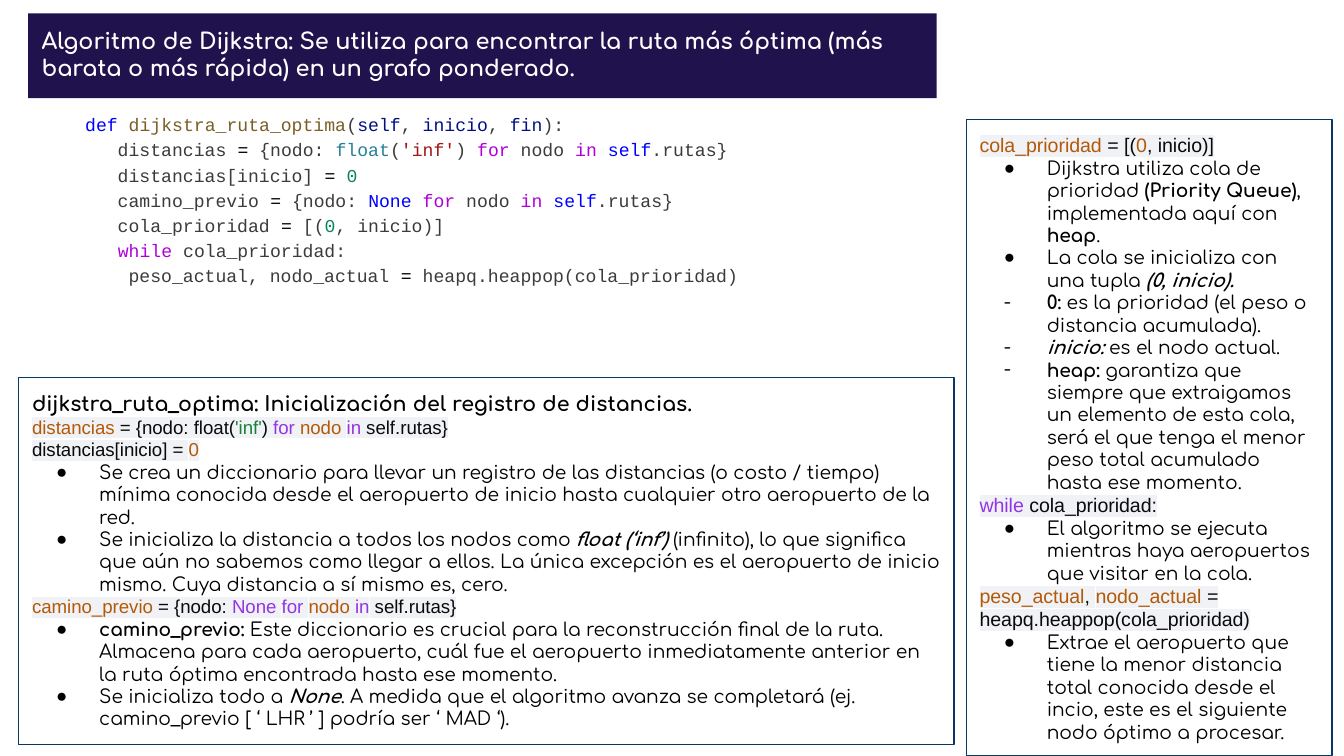
"""Build the slide that explains Dijkstra's algorithm line by line."""
import pptx
import pptx.dml.color
import pptx.enum.shapes
import pptx.enum.text
import pptx.oxml.ns
import pptx.util
from lxml import etree

Inches = pptx.util.Inches
Pt = pptx.util.Pt
RGBColor = pptx.dml.color.RGBColor
qn = pptx.oxml.ns.qn

WHITE = RGBColor(0xFF, 0xFF, 0xFF)
BLACK = RGBColor(0x00, 0x00, 0x00)
PURPLE = RGBColor(0x20, 0x12, 0x4D)
BORDER = RGBColor(0x07, 0x37, 0x63)
HIGHLIGHT = RGBColor(0xF0, 0xF2, 0xF5)
CODE_TEXT = RGBColor(0x3B, 0x3B, 0x3B)
SNIPPET_TEXT = RGBColor(0x0A, 0x0A, 0x0A)

MARKS = {
    "bold": {"bold": True},
    "strong": {"bold": True, "italic": True},
    "constant": {"color": RGBColor(0x00, 0x00, 0xFF)},
    "function": {"color": RGBColor(0x79, 0x5E, 0x26)},
    "argument": {"color": RGBColor(0x00, 0x10, 0x80)},
    "operator": {"color": BLACK},
    "type": {"color": RGBColor(0x26, 0x7F, 0x99)},
    "string": {"color": RGBColor(0xA3, 0x15, 0x15)},
    "keyword": {"color": RGBColor(0xAF, 0x00, 0xDB)},
    "number": {"color": RGBColor(0x09, 0x86, 0x58)},
    "name": {"color": RGBColor(0xB4, 0x59, 0x08)},
    "violet": {"color": RGBColor(0x93, 0x34, 0xE6)},
    "green": {"color": RGBColor(0x18, 0x80, 0x38)},
}

PROSE = {"name": "Comfortaa", "size": Pt(10), "color": BLACK, "bold": False}
SNIPPET = {"name": "Arial", "size": Pt(10), "color": SNIPPET_TEXT, "bold": False,
           "highlight": HIGHLIGHT}
KINDS = {
    "title": PROSE | {"size": Pt(12), "color": WHITE, "bold": True},
    "heading": PROSE | {"size": Pt(11), "bold": True},
    "code": {"name": "Courier New", "size": Pt(9.7), "color": CODE_TEXT},
    "snippet": SNIPPET,
    "large snippet": SNIPPET | {"size": Pt(10.5)},
    "●": PROSE,
    "-": PROSE,
}
BULLET_FONTS = {"●": "Arial", "-": "Comfortaa"}

EQUALS = ("=", "operator")
CODE_LOOP = [" ", ("for", "keyword"), " nodo ", ("in", "keyword"), " ",
             ("self", "constant"), ".rutas}"]
SNIPPET_LOOP = [("for", "violet"), " ", ("nodo", "name"), " ", ("in", "violet"),
                " self.rutas}"]

TITLE = [("title", ["Algoritmo de Dijkstra: Se utiliza para encontrar la ruta más óptima "
                    "(más barata o más rápida) en un grafo ponderado."])]

CODE = [("code", runs) for runs in (
    ["    ", ("def", "constant"), " ", ("dijkstra_ruta_optima", "function"), "(",
     ("self", "argument"), ", ", ("inicio", "argument"), ", ", ("fin", "argument"), "):"],
    ["       distancias ", EQUALS, " {nodo: ", ("float", "type"), "(",
     ("'inf'", "string"), ")", *CODE_LOOP],
    ["       distancias[inicio] ", EQUALS, " ", ("0", "number")],
    ["       camino_previo ", EQUALS, " {nodo: ", ("None", "constant"), *CODE_LOOP],
    ["       cola_prioridad ", EQUALS, " [(", ("0", "number"), ", inicio)]"],
    ["       ", ("while", "keyword"), " cola_prioridad:"],
    ["        peso_actual, nodo_actual ", EQUALS, " heapq.heappop(cola_prioridad)"],
)]

DISTANCES = [
    ("heading", ["dijkstra_ruta_optima: Inicialización del registro de distancias."]),
    ("snippet", [("distancias", "name"), " = {nodo: float(", ("'inf'", "green"), ") ",
                 *SNIPPET_LOOP]),
    ("snippet", ["distancias[inicio] = ", ("0", "name")]),
    ("●", ["Se crea un diccionario para llevar un registro de las distancias (o costo / "
           "tiempo) mínima conocida desde el aeropuerto de inicio hasta cualquier otro "
           "aeropuerto de la red."]),
    ("●", ["Se inicializa la distancia a todos los nodos como ",
           ("float (‘inf’) ", "strong"),
           "(infinito), lo que significa que aún no sabemos como llegar a ellos. La única "
           "excepción es el aeropuerto de inicio mismo. Cuya distancia a sí mismo es, cero."]),
    ("snippet", [("camino_previo", "name"), " = {nodo: ", ("None", "violet"), " ",
                 *SNIPPET_LOOP]),
    ("●", [("camino_previo: ", "bold"),
           "Este diccionario es crucial para la reconstrucción final de la ruta. Almacena "
           "para cada aeropuerto, cuál fue el aeropuerto inmediatamente anterior en la ruta "
           "óptima encontrada hasta ese momento."]),
    ("●", ["Se inicializa todo a ", ("None", "strong"),
           ". A medida que el algoritmo avanza se completará (ej. camino_previo "
           "[ ‘ LHR ’ ] podría ser ‘ MAD ‘)."]),
]

QUEUE = [
    ("large snippet", [("cola_prioridad", "name"), " = [(", ("0", "name"), ", inicio)]"]),
    ("●", ["Dijkstra utiliza cola de prioridad ", ("(Priority Queue)", "bold"),
           ", implementada aquí con ", ("heap", "bold"), "."]),
    ("●", ["La cola se inicializa con una tupla", (" (0, inicio).", "strong")]),
    ("-", [("0: ", "bold"), "es la prioridad (el peso o distancia acumulada)."]),
    ("-", [("inicio: ", "strong"), "es el nodo actual."]),
    ("-", [("heap: ", "bold"),
           "garantiza que siempre que extraigamos un elemento de esta cola, será el que "
           "tenga el menor peso total acumulado hasta ese momento."]),
    ("large snippet", [("while", "violet"), " cola_prioridad:"]),
    ("●", ["El algoritmo se ejecuta mientras haya aeropuertos que visitar en la cola."]),
    ("large snippet", [("peso_actual", "name"), ", ", ("nodo_actual", "name"),
                       " = heapq.heappop(cola_prioridad)"]),
    ("●", ["Extrae el aeropuerto que tiene la menor distancia total conocida desde el "
           "incio, este es el siguiente nodo óptimo a procesar."]),
]


def set_attributes(target, values):
    for name, value in values.items():
        setattr(target, name, value)


def add_run(paragraph, text, values):
    run = paragraph.add_run()
    run.text = text
    values = dict(values)
    run.font.fill.solid()
    run.font.fill.fore_color.rgb = values.pop("color")
    highlight = values.pop("highlight", None)
    set_attributes(run.font, values)
    if highlight is not None:
        element = etree.Element(qn("a:highlight"))
        etree.SubElement(element, qn("a:srgbClr"), val=str(highlight))
        run.font._element.find(qn("a:latin")).addprevious(element)


def set_bullet(paragraph, character):
    properties = paragraph._p.get_or_add_pPr()
    if character not in BULLET_FONTS:
        properties.set("marL", "0")
        properties.set("indent", "0")
        etree.SubElement(properties, qn("a:buNone"))
        return
    properties.set("marL", str(Inches(0.5)))
    properties.set("indent", str(Inches(-0.32)))
    colour = etree.SubElement(properties, qn("a:buClr"))
    etree.SubElement(colour, qn("a:srgbClr"), val=str(BLACK))
    etree.SubElement(properties, qn("a:buFont"), typeface=BULLET_FONTS[character])
    etree.SubElement(properties, qn("a:buChar"), char=character)


def write_text(shape, paragraphs, line_spacing=1.0):
    frame = shape.text_frame
    margins = ("margin_left", "margin_top", "margin_right", "margin_bottom")
    set_attributes(frame, dict.fromkeys(margins, Inches(0.1)) | {
        "word_wrap": True,
        "auto_size": pptx.enum.text.MSO_AUTO_SIZE.NONE,
        "vertical_anchor": pptx.enum.text.MSO_ANCHOR.TOP,
    })
    for index, (kind, runs) in enumerate(paragraphs):
        paragraph = frame.add_paragraph() if index else frame.paragraphs[0]
        set_bullet(paragraph, kind)
        set_attributes(paragraph, {
            "alignment": pptx.enum.text.PP_ALIGN.LEFT,
            "line_spacing": line_spacing,
            "space_before": Pt(0),
            "space_after": Pt(0),
        })
        for run in runs:
            text, mark = (run, None) if isinstance(run, str) else run
            add_run(paragraph, text, KINDS[kind] | MARKS.get(mark, {}))


def place(shape, left, top, width, height):
    set_attributes(shape, {"left": Inches(left), "top": Inches(top),
                           "width": Inches(width), "height": Inches(height)})


def add_panel(slide, box, paragraphs):
    rectangle = pptx.enum.shapes.MSO_SHAPE.RECTANGLE
    panel = slide.shapes.add_shape(rectangle, *map(Inches, box))
    panel.shadow.inherit = False
    panel.fill.background()
    panel.line.color.rgb = BORDER
    panel.line.width = Pt(0.75)
    write_text(panel, paragraphs)


def main():
    presentation = pptx.Presentation()
    set_attributes(presentation, {"slide_width": Inches(10),
                                  "slide_height": Inches(10) * 9 // 16})
    slide = presentation.slides.add_slide(presentation.slide_layouts[1])
    title, body = slide.placeholders
    place(title, 0.21, 0.1, 6.76, 0.63)
    title.fill.solid()
    title.fill.fore_color.rgb = PURPLE
    write_text(title, TITLE)
    place(body, 0.21, 0.72, 6.76, 2.09)
    write_text(body, CODE, line_spacing=1.16)
    add_panel(slide, (0.14, 2.81, 6.96, 2.73), DISTANCES)
    add_panel(slide, (7.19, 0.89, 2.72, 4.73), QUEUE)
    presentation.save("out.pptx")


if __name__ == "__main__":
    main()
